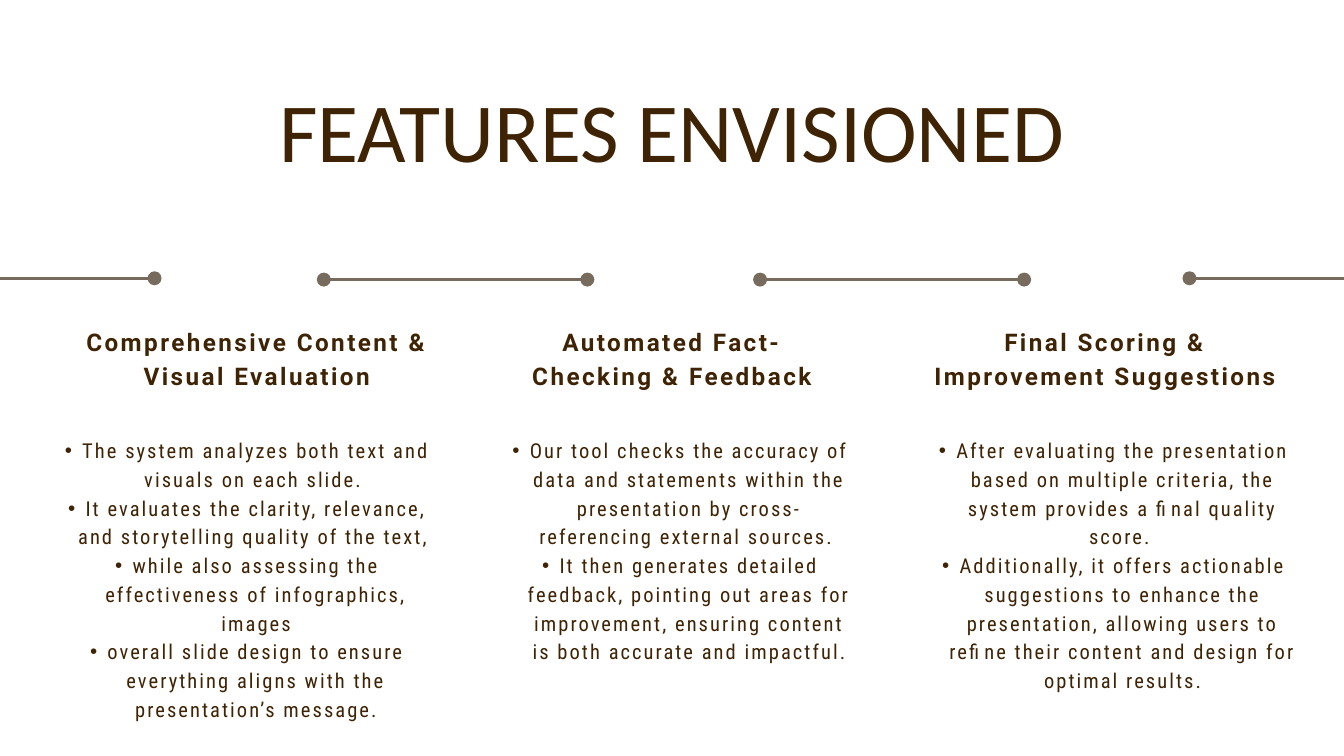
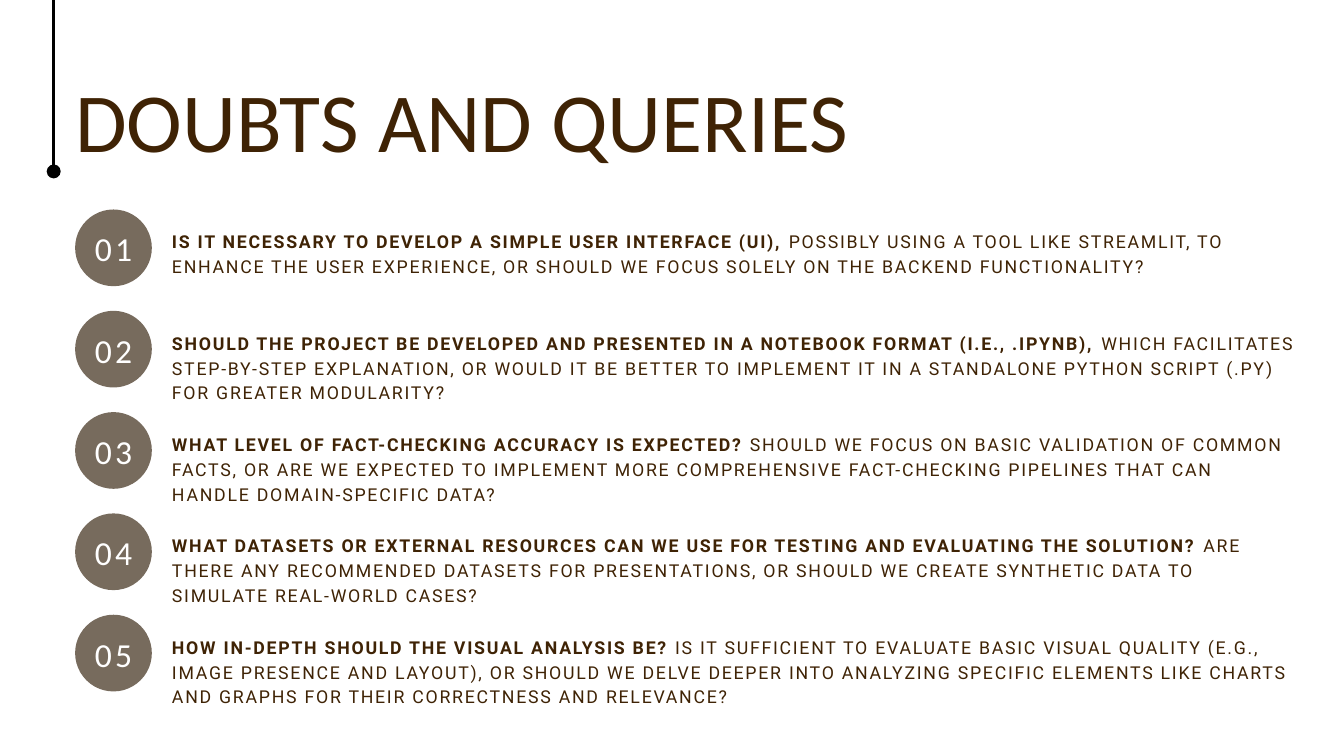
import pptx
import pptx.util
import pptx.dml.color
import pptx.enum.shapes
import pptx.enum.text
import lxml.etree

Cm = pptx.util.Cm
Pt = pptx.util.Pt
RGBColor = pptx.dml.color.RGBColor
ALIGN = pptx.enum.text.PP_ALIGN
FIT = pptx.enum.text.MSO_AUTO_SIZE
ANCHOR = pptx.enum.text.MSO_ANCHOR
SHAPE = pptx.enum.shapes.MSO_SHAPE
LINE = pptx.enum.shapes.MSO_CONNECTOR

BROWN = RGBColor(0x3F, 0x23, 0x05)
TAUPE = RGBColor(0x77, 0x6B, 0x5D)
BLACK = RGBColor(0, 0, 0)
WHITE = RGBColor(255, 255, 255)

LEFT = 2.84


def add_tag(parent, name, **attrs):
    return lxml.etree.SubElement(parent, pptx.oxml.ns.qn(name), attrs)


class Deck:
    def __init__(self):
        self.prs = pptx.Presentation()
        self.prs.slide_width = Cm(50.8)
        self.prs.slide_height = Cm(28.58)
        self.slide = None

    def new_slide(self):
        self.slide = self.prs.slides.add_slide(self.prs.slide_layouts[6])
        self.slide.background.fill.solid()
        self.slide.background.fill.fore_color.rgb = WHITE

    def style(self, para, font, size, lead, color=BROWN, bold=False, space=0, align=ALIGN.LEFT):
        para.alignment = align
        para.line_spacing = Pt(lead)
        for run in para.runs:
            run.font.name = font
            run.font.size = Pt(size)
            run.font.bold = bold
            run.font.color.rgb = color
            if space:
                run.font._element.set("spc", str(round(space * 100)))

    def text(self, left, top, width, height, words):
        box = self.slide.shapes.add_textbox(Cm(left), Cm(top), Cm(width), Cm(height))
        frame = box.text_frame
        frame.margin_left = frame.margin_right = frame.margin_top = frame.margin_bottom = 0
        frame.word_wrap = True
        frame.auto_size = FIT.SHAPE_TO_FIT_TEXT
        frame.text = words
        return frame.paragraphs

    def title(self, words, top, width, height, align):
        para = self.text(LEFT, top, width, height, words)[0]
        self.style(para, "Calibri", 90, 99, align=align)

    def heading(self, words, left, width):
        para = self.text(left, 12.19, width, 3.91, words)[0]
        self.style(para, "Roboto", 26, 36.4, bold=True, space=2.6, align=ALIGN.CENTER)

    def bullets(self, items, left, width, height):
        for para in self.text(left, 16.41, width, height, "\n".join(items)):
            self.style(para, "Roboto Condensed", 22, 30.8, space=2.2, align=ALIGN.CENTER)
            para.level = 1
            props = para._p.get_or_add_pPr()
            props.set("marL", str(Cm(1.32)))
            props.set("indent", str(Cm(-0.66)))
            add_tag(props, "a:buFont", typeface="Arial")
            add_tag(props, "a:buChar", char="•")

    def query(self, lead, rest, top, width):
        para = self.text(2.56 * 2.54, top, width, 3.7, lead)[0]
        para.add_run().text = rest
        self.style(para, "Roboto", 19, 26.6, space=1.9)
        para.runs[0].font.bold = True

    def badge(self, words, top):
        oval = self.slide.shapes.add_shape(SHAPE.OVAL, Cm(LEFT), Cm(top), Cm(2.9), Cm(2.9))
        oval.shadow.inherit = False
        oval.fill.solid()
        oval.fill.fore_color.rgb = TAUPE
        oval.line.fill.background()
        frame = oval.text_frame
        frame.margin_left = frame.margin_right = frame.margin_top = 0
        frame.margin_bottom = Cm(0.2)
        frame.vertical_anchor = ANCHOR.MIDDLE
        frame.text = words
        self.style(frame.paragraphs[0], "Calibri", 36, 50.4, WHITE, space=3.6, align=ALIGN.CENTER)

    def line(self, start, end, color, *dots):
        rule = self.slide.shapes.add_connector(LINE.STRAIGHT, *map(Cm, start + end))
        rule.line.color.rgb = color
        rule.line.width = Pt(3)
        for dot in dots:
            add_tag(rule.line._get_or_add_ln(), "a:" + dot, type="oval", w="lg", len="lg")
        add_tag(rule._element.spPr, "a:effectLst")


RULES = [
    (44.96, 51.28, 10.52, ["headEnd"]),
    (-0.48, 5.84, 10.52, ["tailEnd"]),
    (12.24, 22.2, 10.57, ["headEnd", "tailEnd"]),
    (28.73, 38.71, 10.57, ["headEnd", "tailEnd"]),
]

FEATURES = [
    ("Comprehensive Content & Visual Evaluation", (2.84, 13.74), (1.45, 15.14, 10.92), [
        "The system analyzes both text and visuals on each slide. ",
        "It evaluates the clarity, relevance, and storytelling quality of the text, ",
        "while also assessing the effectiveness of infographics, images",
        "overall slide design to ensure everything aligns with the presentation’s message.",
    ]),
    ("Automated Fact-Checking & Feedback", (19.23, 12.34), (18.57, 13.64, 9.86), [
        "Our tool checks the accuracy of data and statements within the presentation "
        "by cross-referencing external sources. ",
        "It then generates detailed feedback, pointing out areas for improvement, "
        "ensuring content is both accurate and impactful.",
    ]),
    ("Final Scoring & Improvement Suggestions", (34.72, 14.1), (34.42, 14.71, 10.92), [
        "After evaluating the presentation based on multiple criteria, "
        "the system provides a final quality score. ",
        "Additionally, it offers actionable suggestions to enhance the presentation, "
        "allowing users to refine their content and design for optimal results.",
    ]),
]

QUERIES = [
    ("IS IT NECESSARY TO DEVELOP A SIMPLE USER INTERFACE (UI), ",
     "POSSIBLY USING A TOOL LIKE STREAMLIT, TO ENHANCE THE USER EXPERIENCE, "
     "OR SHOULD WE FOCUS SOLELY ON THE BACKEND FUNCTIONALITY?", 41.43),
    ("SHOULD THE PROJECT BE DEVELOPED AND PRESENTED IN A NOTEBOOK FORMAT (I.E., .IPYNB), ",
     "WHICH FACILITATES STEP-BY-STEP EXPLANATION, OR WOULD IT BE BETTER TO IMPLEMENT IT "
     "IN A STANDALONE PYTHON SCRIPT (.PY) FOR GREATER MODULARITY?", 43.33),
    ("WHAT LEVEL OF FACT-CHECKING ACCURACY IS EXPECTED? ",
     "SHOULD WE FOCUS ON BASIC VALIDATION OF COMMON FACTS, OR ARE WE EXPECTED TO IMPLEMENT "
     "MORE COMPREHENSIVE FACT-CHECKING PIPELINES THAT CAN HANDLE DOMAIN-SPECIFIC DATA?", 42.52),
    ("WHAT DATASETS OR EXTERNAL RESOURCES CAN WE USE FOR TESTING AND EVALUATING THE SOLUTION? ",
     "ARE THERE ANY RECOMMENDED DATASETS FOR PRESENTATIONS, OR SHOULD WE CREATE SYNTHETIC DATA "
     "TO SIMULATE REAL-WORLD CASES?", 42.52),
    ("HOW IN-DEPTH SHOULD THE VISUAL ANALYSIS BE? ",
     "IS IT SUFFICIENT TO EVALUATE BASIC VISUAL QUALITY (E.G., IMAGE PRESENCE AND LAYOUT), "
     "OR SHOULD WE DELVE DEEPER INTO ANALYZING SPECIFIC ELEMENTS LIKE CHARTS AND GRAPHS "
     "FOR THEIR CORRECTNESS AND RELEVANCE?", 42.52),
]


def features(deck):
    deck.new_slide()
    for start, end, level, dots in RULES:
        deck.line((start, level), (end, level), TAUPE, *dots)
    deck.title("FEATURES ENVISIONED", 3.3, 45.1, 7.09, ALIGN.CENTER)
    for name, head, body, items in FEATURES:
        deck.heading(name, *head)
        deck.bullets(items, *body)


def queries(deck):
    deck.new_slide()
    deck.title("DOUBTS AND QUERIES", 2.9, 34.75, 3.61, ALIGN.LEFT)
    deck.line((2.03, 6.48), (2.03, 0), BLACK, "headEnd")
    for row, (lead, rest, width) in enumerate(QUERIES):
        top = 7.92 + row * 3.83
        deck.badge(f"{row + 1:02}", top)
        deck.query(lead, rest, top + 0.69, width)


def main():
    deck = Deck()
    features(deck)
    queries(deck)
    deck.prs.save("out.pptx")


if __name__ == "__main__":
    main()
